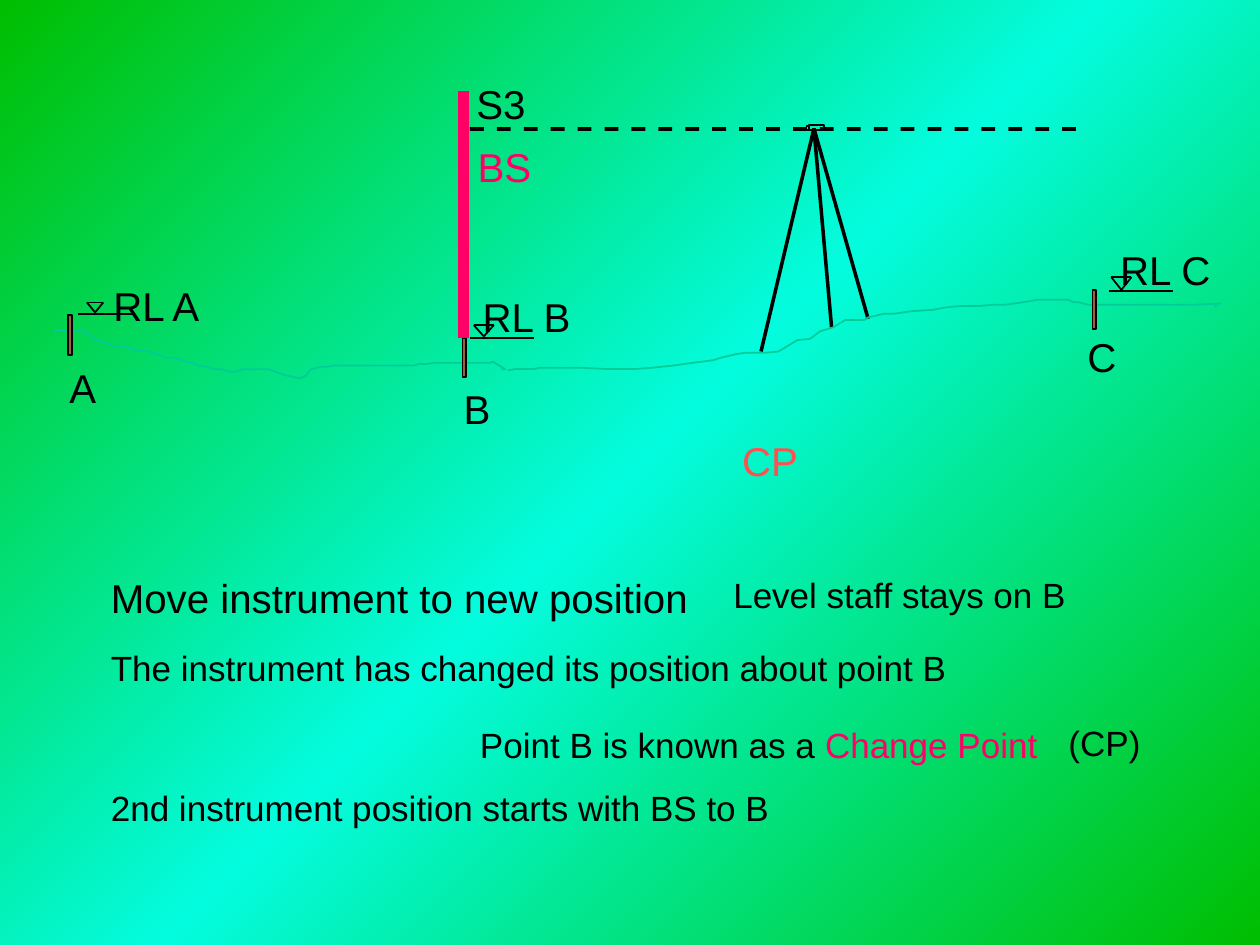
from copy import deepcopy
from dataclasses import dataclass

from lxml import etree
from pptx import Presentation
from pptx import util as u
from pptx.dml.color import RGBColor
from pptx.enum import shapes, text
from pptx.oxml.ns import qn

BLACK, PINK, CORAL = "000000", "FF0066", "FF5050"
BROWN, TEAL, GREEN, CYAN = "996633", "00CC99", "00BE00", "04FCDE"
FONT = "Arial"
SLACK = 0.05


@dataclass
class Label:
    x: float
    y: float
    w: float
    runs: list[tuple[str, str]]
    size: int = 23


@dataclass
class Mark:
    x: float
    y: float
    w: float
    left: float
    top: float
    wide: float


@dataclass
class Point:
    name: Label
    level: Label
    mark: Mark
    peg: tuple[float, float, float, float]


POINTS = [
    Point(Label(0.55, 2.88, 0.21, [("A", BLACK)]),
          Label(0.9, 2.23, 0.71, [("RL A", BLACK)]),
          Mark(0.62, 2.49, 0.44, 0.69, 2.4, 0.13), (0.54, 2.5, 0.03, 0.32)),
    Point(Label(3.68, 3.05, 0.21, [("B", BLACK)]),
          Label(3.83, 2.32, 0.71, [("RL B", BLACK)]),
          Mark(3.73, 2.68, 0.51, 3.76, 2.58, 0.16), (3.67, 2.68, 0.03, 0.31)),
    Point(Label(8.63, 2.64, 0.23, [("C", BLACK)]),
          Label(8.89, 1.95, 0.73, [("RL C", BLACK)]),
          Mark(8.8, 2.31, 0.51, 8.82, 2.2, 0.16), (8.67, 2.3, 0.03, 0.31)),
]

LABELS = [
    Label(0.88, 4.55, 4.59, [("Move instrument to new position", BLACK)]),
    Label(5.82, 4.55, 2.65, [("Level staff stays on B", BLACK)], 20),
    Label(0.88, 5.13, 6.64,
          [("The instrument has changed its position about point B", BLACK)], 20),
    Label(3.81, 5.74, 4.45,
          [("Point B is known as a ", BLACK), ("Change Point", PINK)], 20),
    Label(8.48, 5.73, 0.58, [("(CP)", BLACK)], 20),
    Label(5.89, 3.46, 0.45, [("CP", CORAL)]),
    Label(3.78, 0.63, 0.4, [("S3", BLACK)]),
    Label(3.79, 1.13, 0.43, [("BS", PINK)]),
    Label(0.88, 6.24, 5.23,
          [("2nd instrument position starts with BS to B", BLACK)], 20),
]

WEST = [
    (0.43, 2.62), (0.66, 2.62), (0.69, 2.65), (0.75, 2.69), (0.85, 2.73),
    (0.93, 2.75), (1, 2.75), (1.07, 2.78), (1.19, 2.79), (1.32, 2.84),
    (1.39, 2.84), (1.47, 2.87), (1.53, 2.88), (1.57, 2.9), (1.64, 2.91),
    (1.71, 2.93), (1.76, 2.93), (1.82, 2.95), (1.87, 2.95), (1.93, 2.93),
    (2.13, 2.93), (2.27, 2.98), (2.37, 3), (2.39, 3), (2.43, 2.98),
    (2.45, 2.95), (2.47, 2.93), (2.55, 2.91), (2.6, 2.91), (2.65, 2.9),
    (3.29, 2.9), (3.32, 2.89), (3.38, 2.89), (3.44, 2.88), (3.89, 2.88),
    (3.91, 2.87), (4.01, 2.93), (3.98, 2.93),
]
EAST = [
    (4.03, 2.94), (4.09, 2.93), (4.24, 2.93), (4.28, 2.92), (4.62, 2.92),
    (4.83, 2.93), (5.03, 2.93), (5.17, 2.92), (5.36, 2.9), (5.5, 2.88),
    (5.66, 2.86), (5.72, 2.84), (5.85, 2.81), (5.92, 2.8), (6.08, 2.8),
    (6.18, 2.79), (6.28, 2.73), (6.33, 2.7), (6.43, 2.69), (6.51, 2.63),
    (6.61, 2.6), (6.71, 2.54), (6.86, 2.54), (6.89, 2.52), (7.02, 2.49),
    (7.1, 2.49), (7.24, 2.47), (7.4, 2.46), (7.51, 2.44), (7.62, 2.43),
    (7.77, 2.43), (7.87, 2.42), (7.97, 2.42), (8.12, 2.4), (8.23, 2.38),
    (8.48, 2.38), (8.52, 2.4), (8.56, 2.4), (8.64, 2.42), (9.45, 2.42),
    (9.69, 2.41), (9.65, 2.41), (9.65, 2.44),
]


def shade(hue: str) -> RGBColor:
    return RGBColor.from_string(hue)


def draw_back(slide) -> None:
    fill = slide.background.fill
    fill.gradient()
    fill.gradient_angle = 135
    stops = slide.background._cSld.find(".//" + qn("a:gsLst"))
    stops.insert(1, deepcopy(stops[0]))
    for stop, place, hue in zip(fill.gradient_stops, (0, 0.5, 1), (GREEN, CYAN, GREEN)):
        stop.position = place
        stop.color.rgb = shade(hue)


def draw_line(slide, start: tuple, end: tuple, hue: str = BLACK, width: float = 1) -> None:
    line = slide.shapes.add_connector(
        shapes.MSO_CONNECTOR.STRAIGHT, *(u.Inches(n) for n in (*start, *end)))
    line.line.color.rgb = shade(hue)
    line.line.width = u.Pt(width)
    etree.SubElement(line._element.spPr, qn("a:effectLst"))


def paint(shape, fill: str | None, edge: str | None) -> None:
    shape.shadow.inherit = False
    if fill:
        shape.fill.solid()
        shape.fill.fore_color.rgb = shade(fill)
    else:
        shape.fill.background()
    if edge:
        shape.line.color.rgb = shade(edge)
        shape.line.width = u.Pt(1)
    else:
        shape.line.fill.background()


def draw_box(slide, box: tuple, fill: str | None, edge: str | None) -> None:
    shape = slide.shapes.add_shape(
        shapes.MSO_SHAPE.RECTANGLE, *(u.Inches(n) for n in box))
    paint(shape, fill, edge)


def draw_ground(slide, spots: list[tuple[float, float]]) -> None:
    start, *rest = [(u.Inches(x), u.Inches(y)) for x, y in spots]
    pen = slide.shapes.build_freeform(*start)
    pen.add_line_segments(rest, close=False)
    paint(pen.convert_to_shape(), None, TEAL)


def draw_label(slide, label: Label) -> None:
    high = 0.38 if label.size > 20 else 0.33
    box = slide.shapes.add_textbox(
        *(u.Inches(n) for n in (label.x, label.y, label.w + SLACK, high)))
    frame = box.text_frame
    frame.margin_left = frame.margin_right = frame.margin_top = frame.margin_bottom = 0
    frame.word_wrap = True
    frame.auto_size = text.MSO_AUTO_SIZE.NONE
    for words, hue in label.runs:
        run = frame.paragraphs[0].add_run()
        run.text = words
        run.font.name = FONT
        run.font.size = u.Pt(label.size)
        run.font.color.rgb = shade(hue)


def draw_mark(slide, mark: Mark) -> None:
    right, mid = mark.left + mark.wide, mark.left + mark.wide / 2
    tip = mark.y - 0.01
    draw_line(slide, (mark.x, mark.y), (mark.x + mark.w, mark.y))
    draw_line(slide, (mark.left, mark.top), (right, mark.top))
    for side in (mark.left, right):
        draw_line(slide, (side, mark.top), (mid, tip))


def draw_point(slide, point: Point) -> None:
    draw_mark(slide, point.mark)
    draw_box(slide, point.peg, BROWN, BLACK)
    draw_label(slide, point.level)
    draw_label(slide, point.name)


def draw_level(slide) -> None:
    for foot in ((6.04, 2.79), (6.6, 2.6), (6.89, 2.53)):
        draw_line(slide, (6.46, 1.02), foot, width=2)
    count, first, last = 23, 3.73, 8.43
    step = (last - first) / (count - 1)
    for i in range(count):
        draw_box(slide, (first + i * step, 1.01, 0.11, 0.03), BLACK, None)
    draw_box(slide, (6.42, 0.99, 0.12, 0.04), None, BLACK)
    draw_box(slide, (6.4, 1, 0.02, 0.03), None, BLACK)


def main() -> None:
    deck = Presentation()
    deck.slide_width, deck.slide_height = u.Inches(10), u.Inches(7.5)
    slide = deck.slides.add_slide(deck.slide_layouts[6])
    draw_back(slide)
    draw_level(slide)
    for spots in (WEST, EAST):
        draw_ground(slide, spots)
    for point in POINTS:
        draw_point(slide, point)
    draw_line(slide, (3.68, 0.72), (3.68, 2.68), PINK, 6)
    for label in LABELS:
        draw_label(slide, label)
    deck.save("out.pptx")


if __name__ == "__main__":
    main()
